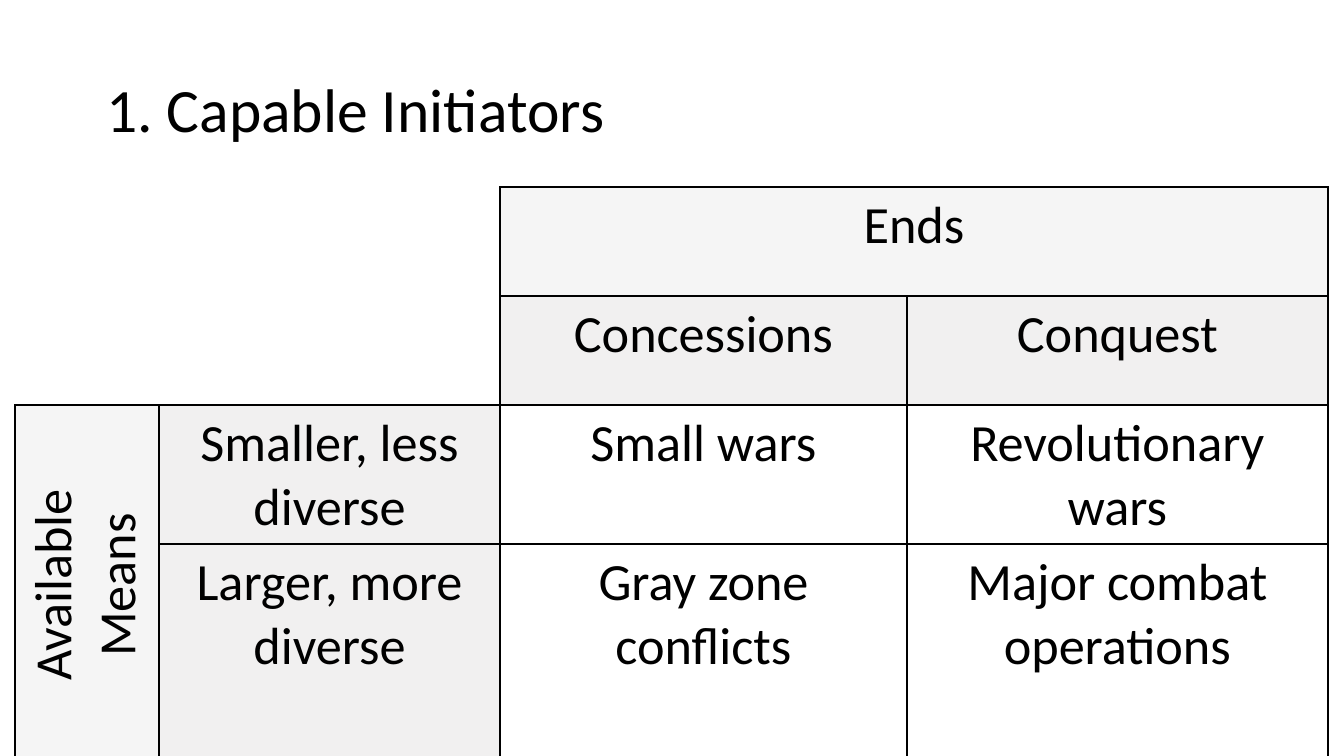
import pptx
import pptx.util
import pptx.dml.color
import pptx.enum.text
import pptx.oxml.ns
import lxml.etree

EMU_PER_PX = 914400 / 134.4
THEME = {
    "font": "Calibri",
    "title_size": 33,
    "cell_size": 28,
    "ink": "000000",
    "group": "F5F5F5",
    "header": "F1F0F0",
    "line_width": 1,
}


def px(n):
    return pptx.util.Emu(round(n * EMU_PER_PX))


def write(tf, text, size, para_format):
    p = tf.paragraphs[0]
    for name, value in para_format.items():
        setattr(p, name, value)
    r = p.add_run()
    r.text = text
    font_format = {"name": THEME["font"], "size": pptx.util.Pt(size)}
    for name, value in font_format.items():
        setattr(r.font, name, value)
    r.font.color.rgb = pptx.dml.color.RGBColor.from_string(THEME["ink"])


prs = pptx.Presentation()
prs.slide_width, prs.slide_height = px(1344), px(756)
s = prs.slides.add_slide(prs.slide_layouts[6])

title = s.shapes.add_textbox(px(93), px(40), px(1158), px(146))
tf = title.text_frame
tf.word_wrap = True
tf.vertical_anchor = pptx.enum.text.MSO_ANCHOR.MIDDLE
write(tf, "1. Capable Initiators", THEME["title_size"], {"line_spacing": 0.9})

columns = [144, 341, 407, 421]
rows = [109] * 4
frame = s.shapes.add_table(
    len(rows), len(columns), px(15), px(187), px(sum(columns)), px(sum(rows))
)
table = frame.table
for name in ("first_row", "horz_banding"):
    setattr(table, name, False)
for column, width in zip(table.columns, columns):
    column.width = px(width)
for row, height in zip(table.rows, rows):
    row.height = px(height)

matrix = [
    ["", "", "Ends", ""],
    ["", "", "Concessions", "Conquest"],
    ["Available Means", "Smaller, less diverse", "Small wars", "Revolutionary wars"],
    ["", "Larger, more diverse", "Gray zone conflicts", "Major combat operations"],
]
fills = [
    [None, None, "group", "group"],
    [None, None, "header", "header"],
    ["group", "header", None, None],
    ["group", "header", None, None],
]
corner_edges = {(0, 0): "", (0, 1): "R", (1, 0): "B", (1, 1): "RB"}

table.cell(0, 2).merge(table.cell(0, 3))
table.cell(2, 0).merge(table.cell(3, 0))

for i, texts in enumerate(matrix):
    for j, text in enumerate(texts):
        cell = table.cell(i, j)
        if text:
            centred = {"alignment": pptx.enum.text.PP_ALIGN.CENTER}
            write(cell.text_frame, text, THEME["cell_size"], centred)
        if fills[i][j]:
            cell.fill.solid()
            color = THEME[fills[i][j]]
            cell.fill.fore_color.rgb = pptx.dml.color.RGBColor.from_string(color)
        else:
            cell.fill.background()
        tcPr = cell._tc.get_or_add_tcPr()
        edges = corner_edges.get((i, j), "LRTB")
        for k, side in enumerate("LRTB"):
            ln = lxml.etree.Element(pptx.oxml.ns.qn(f"a:ln{side}"))
            ln.set("w", str(pptx.util.Pt(THEME["line_width"])))
            if side in edges:
                fill = lxml.etree.SubElement(ln, pptx.oxml.ns.qn("a:solidFill"))
                clr = lxml.etree.SubElement(fill, pptx.oxml.ns.qn("a:srgbClr"))
                clr.set("val", THEME["ink"])
            else:
                lxml.etree.SubElement(ln, pptx.oxml.ns.qn("a:noFill"))
            tcPr.insert(k, ln)

table.cell(2, 0)._tc.get_or_add_tcPr().set("vert", "vert270")

prs.save("out.pptx")
